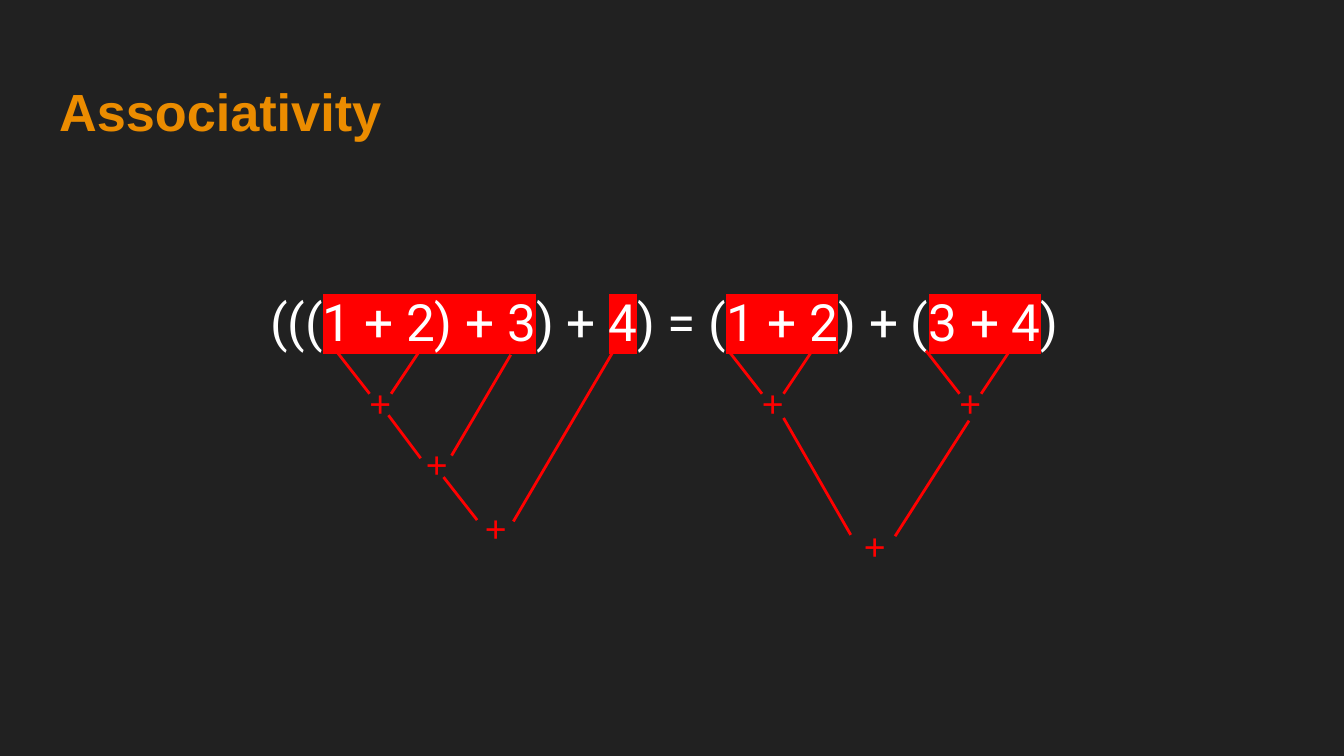
from lxml import etree
from pptx import Presentation
from pptx.dml.color import RGBColor
from pptx.enum.shapes import MSO_CONNECTOR
from pptx.enum.text import MSO_ANCHOR, MSO_AUTO_SIZE, PP_ALIGN
from pptx.oxml.ns import qn
from pptx.util import Inches, Pt

STRAIGHT = MSO_CONNECTOR.STRAIGHT
TOP = MSO_ANCHOR.TOP
LEFT = PP_ALIGN.LEFT
NO_AUTOFIT = MSO_AUTO_SIZE.NONE

COLORS = {"background": "212121", "title": "EB8C00", "text": "FFFFFF", "tree": "FF0000"}

# Text and whether it is highlighted
EQUATION = [
    ("(((", False), ("1 + 2) + 3", True), (") + ", False), ("4", True),
    (") = (", False), ("1 + 2", True), (") + (", False), ("3 + 4", True), (")", False),
]

# Two branches per operator, as (x1, y1, x2, y2) from the operator's top left
LEAF_PAIR = [(-0.15, -0.12, 0.1, 0.2), (0.46, -0.1, 0.26, 0.2)]
LEFT_TREE = [
    (0, 0, LEAF_PAIR),
    (0.42, 0.45, [(-0.18, -0.09, 0.06, 0.23), (0.73, -0.54, 0.29, 0.21)]),
    (0.86, 0.93, [(-0.21, -0.11, 0.04, 0.21), (1.05, -1.04, 0.31, 0.22)]),
]
BALANCED_TREE = [
    (0, 0, LEAF_PAIR),
    (1.47, 0, LEAF_PAIR),
    (0.76, 1.06, [(-0.5, -0.68, 0, 0.19), (0.88, -0.66, 0.33, 0.2)]),
]


def rgb(name):
    return RGBColor.from_string(COLORS[name])


def place(box, left, top, width, height):
    box.left, box.top = Inches(left), Inches(top)
    box.width, box.height = Inches(width), Inches(height)


def prepare_frame(box):
    """Set even margins and top-left text, and return the first paragraph."""
    frame = box.text_frame
    frame.word_wrap = True
    frame.auto_size = NO_AUTOFIT
    frame.vertical_anchor = TOP
    frame.margin_left = frame.margin_right = Inches(0.1)
    frame.margin_top = frame.margin_bottom = Inches(0.1)
    para = frame.paragraphs[0]
    para.alignment = LEFT
    para.space_before = Pt(0)
    return para


def add_span(para, text, size, font, color, bold=False, highlight=None):
    span = para.add_run()
    span.text = text
    span.font.size = Pt(size)
    span.font.bold = bold
    span.font.color.rgb = rgb(color)
    if highlight:
        mark = etree.SubElement(span.font._element, qn("a:highlight"))
        etree.SubElement(mark, qn("a:srgbClr"), val=COLORS[highlight])
    span.font.name = font


def add_title(page, left, top, width, height):
    box = page.shapes.title
    place(box, left, top, width, height)
    add_span(prepare_frame(box), "Associativity", 28, "Arial", "title", bold=True)


def add_equation(page, left, top, width, height):
    box = page.placeholders[1]
    place(box, left, top, width, height)
    para = prepare_frame(box)
    para.line_spacing = 1.15
    para.space_after = Pt(16)
    properties = para._p.get_or_add_pPr()
    properties.set("marL", "0")
    properties.set("indent", "0")
    etree.SubElement(properties, qn("a:buNone"))
    for text, marked in EQUATION:
        add_span(para, text, 27.5, "Roboto", "text", highlight="tree" if marked else None)


def add_branch(page, x1, y1, x2, y2):
    branch = page.shapes.add_connector(
        STRAIGHT, Inches(x1), Inches(y1), Inches(x2), Inches(y2))
    branch.line.color.rgb = rgb("tree")
    branch.line.width = Pt(1.5)
    etree.SubElement(branch._element.spPr, qn("a:effectLst"))


def add_operator(page, left, top, branches):
    for x1, y1, x2, y2 in branches:
        add_branch(page, left + x1, top + y1, left + x2, top + y2)
    box = page.shapes.add_textbox(Inches(left), Inches(top), Inches(0.33), Inches(0.54))
    add_span(prepare_frame(box), "+", 20, "Arial", "tree")


def add_tree(page, left, top, operators):
    for x, y, branches in operators:
        add_operator(page, left + x, top + y, branches)


def main():
    deck = Presentation()
    deck.slide_width = Inches(10)
    deck.slide_height = deck.slide_width * 9 // 16
    page = deck.slides.add_slide(deck.slide_layouts[1])
    page.background.fill.solid()
    page.background.fill.fore_color.rgb = rgb("background")

    add_title(page, 0.34, 0.49, 9.32, 0.63)
    add_equation(page, 1.91, 1.99, 6.18, 0.74)
    add_tree(page, 2.65, 2.73, LEFT_TREE)
    add_tree(page, 5.57, 2.73, BALANCED_TREE)
    deck.save("out.pptx")


if __name__ == "__main__":
    main()
